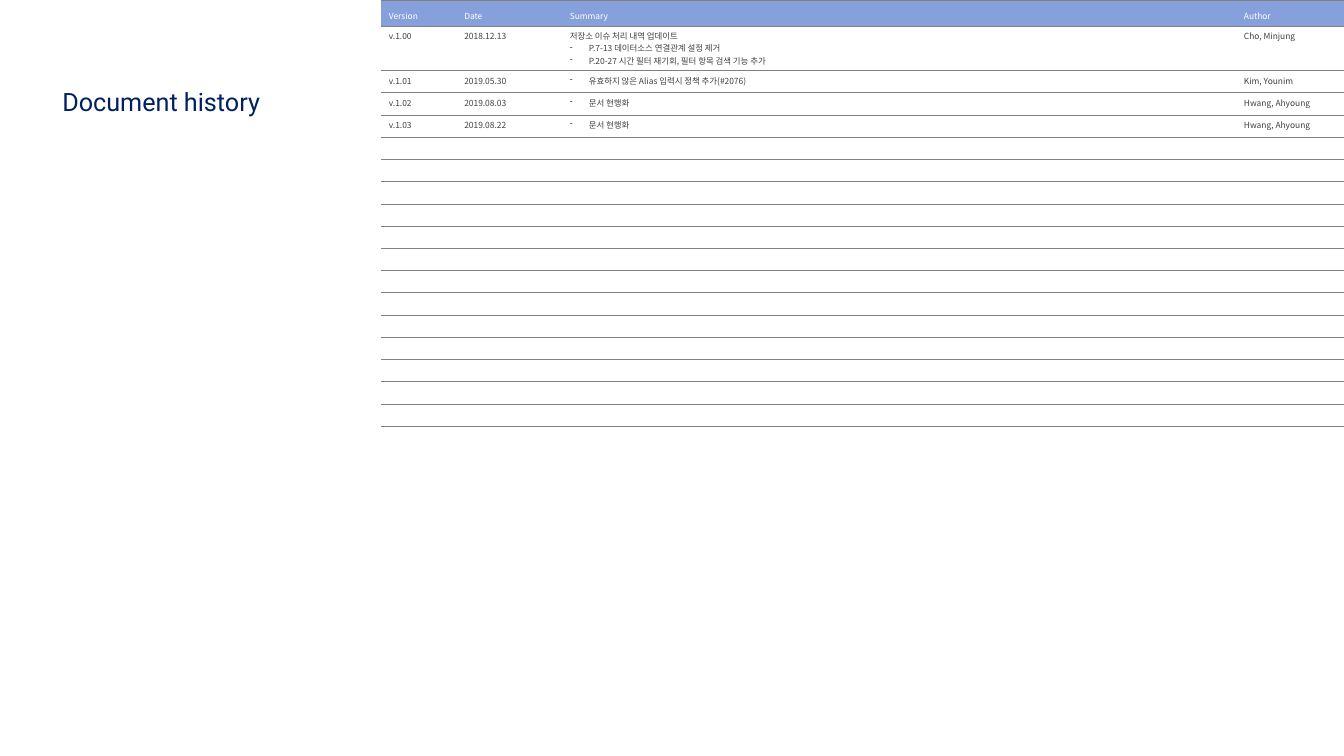
from lxml.etree import SubElement
from pptx import Presentation
from pptx.dml.color import RGBColor
from pptx.enum.text import MSO_ANCHOR
from pptx.oxml import parse_xml
from pptx.oxml.ns import nsdecls, qn
from pptx.util import Cm, Pt

NAVY = RGBColor(0x00, 0x20, 0x60)
HEADER_BLUE = RGBColor(0x86, 0xA0, 0xDB)
WHITE = RGBColor(0xFF, 0xFF, 0xFF)
CHARCOAL = RGBColor(0x40, 0x40, 0x40)
RULE_GREY = RGBColor(0x80, 0x80, 0x80)

BULLET = "- "
COLUMN_WIDTHS = (1.9, 2.66, 16.99, 2.71)
HEADER_HEIGHT, ROW_HEIGHT = 0.58, 0.56
ROW_COUNT = 18
HEADINGS = ("Version", "Date", "Summary", "Author")
REVISIONS = (
    ("v.1.00", "2018.12.13",
     "저장소 이슈 처리 내역 업데이트\n"
     "- P.7-13 데이터소스 연결관계 설정 제거\n"
     "- P.20-27 시간 필터 재기회, 필터 항목 검색 기능 추가",
     "Cho, Minjung"),
    ("v.1.01", "2019.05.30", "- 유효하지 않은 Alias 입력시 정책 추가(#2076)", "Kim, Younim"),
    ("v.1.02", "2019.08.03", "- 문서 현행화", "Hwang, Ahyoung"),
    ("v.1.03", "2019.08.22", "- 문서 현행화", "Hwang, Ahyoung"),
)


def apply(target, values):
    for name, value in values.items():
        setattr(target, name, value)


class HistorySlide:
    title_font = {"name": "Roboto", "size": Pt(18)}
    table_font = {"name": "Noto Sans CJK KR", "size": Pt(6)}
    cell_margins = {"margin_left": Cm(0.2), "margin_right": Cm(0.2),
                    "margin_top": Cm(0.1), "margin_bottom": Cm(0.1)}
    table_flags = {"first_row": False, "horz_banding": False}

    def __init__(self, deck):
        self.slide = deck.slides.add_slide(deck.slide_layouts[6])

    def add_text(self, paragraph, text, font, color, line_spacing):
        paragraph.line_spacing = line_spacing
        run = paragraph.add_run()
        run.text = text
        apply(run.font, font)
        run.font.color.rgb = color
        SubElement(run.font._element, qn("a:ea"), typeface=font["name"])

    def title(self, text, left, top, width, height):
        box = self.slide.shapes.add_textbox(Cm(left), Cm(top), Cm(width), Cm(height))
        apply(box.text_frame, {"word_wrap": True, "vertical_anchor": MSO_ANCHOR.MIDDLE})
        self.add_text(box.text_frame.paragraphs[0], text, self.title_font, NAVY, 0.9)

    def dash(self, paragraph):
        properties = paragraph._p.get_or_add_pPr()
        properties.set("marL", str(Cm(0.48)))
        properties.set("indent", str(Cm(-0.48)))
        SubElement(properties, qn("a:buChar"), char="-")

    def borders(self, cell):
        rule = f'<a:solidFill><a:srgbClr val="{RULE_GREY}"/></a:solidFill>'
        edges = {"lnL": "<a:noFill/>", "lnR": "<a:noFill/>", "lnT": rule, "lnB": rule}
        properties = cell._tc.get_or_add_tcPr()
        for position, (edge, paint) in enumerate(edges.items()):
            properties.insert(position, parse_xml(
                f'<a:{edge} {nsdecls("a")} w="{Pt(0.25)}">{paint}</a:{edge}>'))

    def cell(self, cell, text, fill, color, line_spacing):
        apply(cell, self.cell_margins)
        cell.fill.solid()
        cell.fill.fore_color.rgb = fill
        self.borders(cell)
        frame = cell.text_frame
        if not text:
            size = str(int(self.table_font["size"].pt * 100))
            SubElement(frame.paragraphs[0]._p, qn("a:endParaRPr"), sz=size)
            return
        for index, line in enumerate(text.split("\n")):
            paragraph = frame.add_paragraph() if index else frame.paragraphs[0]
            if line.startswith(BULLET):
                self.dash(paragraph)
            self.add_text(paragraph, line.removeprefix(BULLET), self.table_font, color, line_spacing)

    def table(self, left, top):
        height = HEADER_HEIGHT + ROW_HEIGHT * (ROW_COUNT - 1)
        history = self.slide.shapes.add_table(
            ROW_COUNT, len(HEADINGS), Cm(left), Cm(top),
            Cm(sum(COLUMN_WIDTHS)), Cm(height)).table
        apply(history, self.table_flags)
        for column, width in zip(history.columns, COLUMN_WIDTHS):
            column.width = Cm(width)
        blanks = [("",) * len(HEADINGS)] * (ROW_COUNT - 1 - len(REVISIONS))
        entries = [HEADINGS, *REVISIONS, *blanks]
        for index, (row, entry) in enumerate(zip(history.rows, entries)):
            row.height = Cm(ROW_HEIGHT if index else HEADER_HEIGHT)
            style = (WHITE, CHARCOAL, 1.0) if index else (HEADER_BLUE, WHITE, 1.5)
            for cell, text in zip(row.cells, entry):
                self.cell(cell, text, *style)


def main():
    deck = Presentation()
    apply(deck, {"slide_width": Cm(33.87), "slide_height": Cm(19.05)})
    page = HistorySlide(deck)
    page.table(9.6, 0)
    page.title("Document history", 1.32, 2.16, 29.21, 0.91)
    deck.save("out.pptx")


if __name__ == "__main__":
    main()
